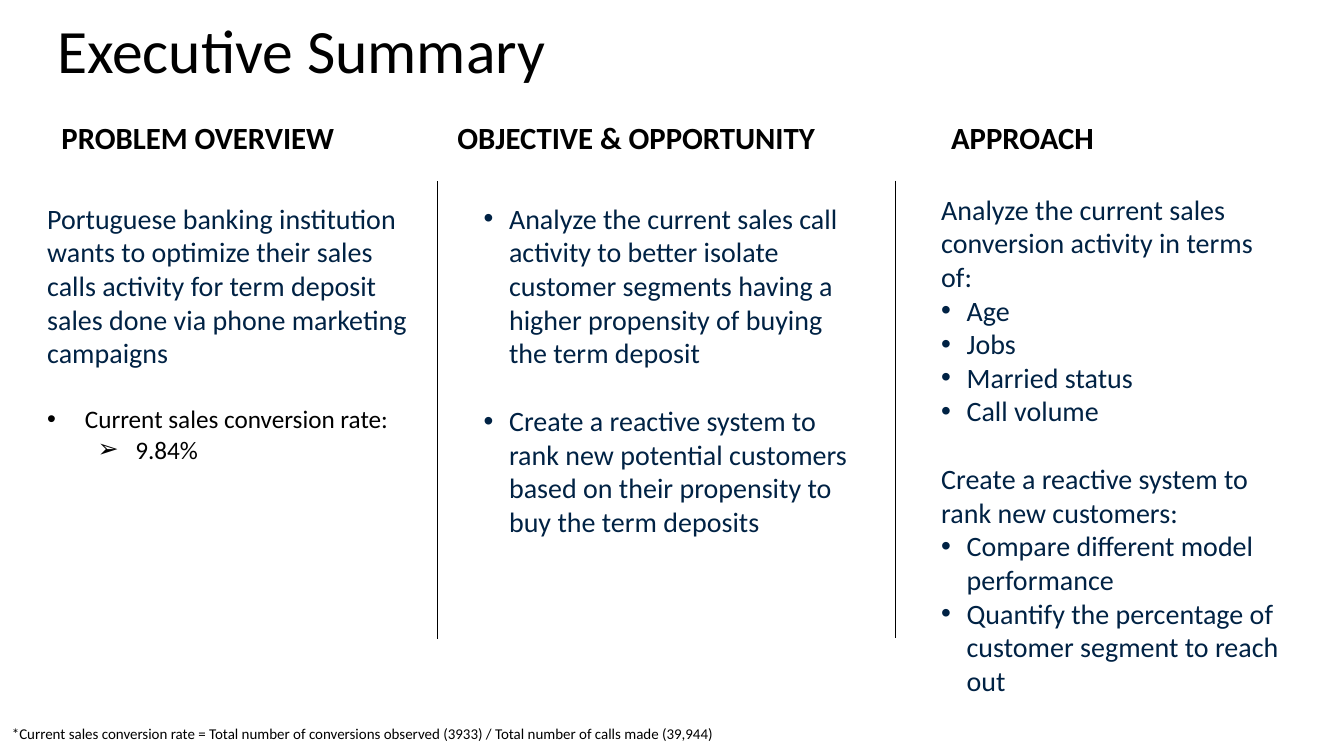
from lxml import etree
from pptx import Presentation
from pptx import util as u
from pptx.dml import color
from pptx.enum import shapes, text
from pptx.oxml import ns

FONT = "Calibri"
BLACK, NAVY = "000000", "002244"
DOT, ARROW = "•", "➢"
GAP = 24.4


def rgb(code):
    """Turn a hex string into a colour."""
    return color.RGBColor.from_string(code)


def add_mark(para, mark, left, hang):
    """Give a paragraph a bullet with a hanging indent in centimetres."""
    props = para._p.get_or_add_pPr()
    props.set("marL", str(u.Cm(left)))
    props.set("indent", str(-u.Cm(hang)))
    etree.SubElement(props, ns.qn("a:buFont")).set("typeface", "Arial")
    etree.SubElement(props, ns.qn("a:buChar")).set("char", mark)


def style(para, size, ink, bold=False):
    """Format every run of a paragraph."""
    for run in para.runs:
        run.font.name = FONT
        run.font.size = u.Pt(size)
        run.font.bold = bold
        run.font.color.rgb = rgb(ink)


def add_box(slide, place):
    """Add a wrapping text box and return its frame."""
    frame = slide.shapes.add_textbox(*map(u.Cm, place)).text_frame
    frame.word_wrap = True
    return frame


def add_label(slide, place, words, size, bold=False):
    """Add a black text of one paragraph and return its frame."""
    frame = add_box(slide, place)
    frame.text = words
    style(frame.paragraphs[0], size, BLACK, bold)
    return frame


def add_body(slide, place, items):
    """Add a column of (words, gap before, bullet, size, colour) items."""
    frame = add_box(slide, place)
    for i, (words, gap, bullet, size, ink) in enumerate(items):
        para = frame.add_paragraph() if i else frame.paragraphs[0]
        para.text = words
        para.space_before = u.Pt(gap)
        if bullet:
            add_mark(para, *bullet)
        style(para, size, ink)


def add_rule(slide, left, top, tall):
    """Add a thin vertical rule."""
    x, y, end = u.Cm(left), u.Cm(top), u.Cm(top + tall)
    rule = slide.shapes.add_connector(shapes.MSO_CONNECTOR.STRAIGHT, x, y, x, end)
    rule.line.color.rgb = rgb(BLACK)
    rule.line.width = u.Pt(0.75)
    etree.SubElement(rule._element.spPr, ns.qn("a:effectLst"))


def plain(words, gap=0):
    """Describe a navy paragraph."""
    return words, gap, None, 20, NAVY


def point(words, gap=0):
    """Describe a navy bulleted paragraph."""
    return words, gap, (DOT, 0.64, 0.64), 20, NAVY


def main():
    """Build the summary slide."""
    deck = Presentation()
    deck.slide_width, deck.slide_height = u.Cm(33.87), u.Cm(19.05)
    slide = deck.slides.add_slide(deck.slide_layouts[6])

    title = add_label(slide, (1.19, 0, 31.5, 2.72), "Executive Summary", 44)
    title.vertical_anchor = text.MSO_ANCHOR.MIDDLE
    title.paragraphs[0].line_spacing = 0.9

    heads = [
        (1.3, 9.22, "PROBLEM OVERVIEW"),
        (11.28, 10.64, "OBJECTIVE & OPPORTUNITY"),
        (23.72, 7.44, "APPROACH"),
    ]
    for left, width, words in heads:
        add_label(slide, (left, 2.87, width, 1.19), words, 22, True)

    add_body(slide, (0.94, 4.95, 9.98, 7.7), [
        plain("Portuguese banking institution wants to optimize their sales calls "
              "activity for term deposit sales done via phone marketing campaigns"),
        ("Current sales conversion rate:", GAP, (DOT, 0.95, 0.95), 18, BLACK),
        ("9.84%", 0, (ARROW, 2.22, 0.95), 18, BLACK),
    ])
    add_body(slide, (11.94, 4.95, 9.98, 8.81), [
        point("Analyze the current sales call activity to better isolate customer "
              "segments having a higher propensity of buying the term deposit"),
        point("Create a reactive system to rank new potential customers based on "
              "their propensity to buy the term deposits", GAP),
    ])
    add_body(slide, (23.47, 4.72, 9.22, 13.08), [
        plain("Analyze the current sales conversion activity in terms of:"),
        *map(point, ("Age", "Jobs", "Married status", "Call volume")),
        plain("Create a reactive system to rank new customers:", GAP),
        point("Compare different model performance"),
        point("Quantify the percentage of customer segment to reach out"),
    ])

    add_rule(slide, 11.02, 4.57, 11.53)
    add_rule(slide, 22.58, 4.55, 11.53)

    note = add_label(slide, (0.3, 18.26, 18.11, 1.75),
                     "*Current sales conversion rate = Total number of conversions "
                     "observed (3933) / Total number of calls made (39,944)", 10.7)
    note.margin_left = note.margin_right = note.margin_top = note.margin_bottom = 0

    deck.save("out.pptx")


if __name__ == "__main__":
    main()
